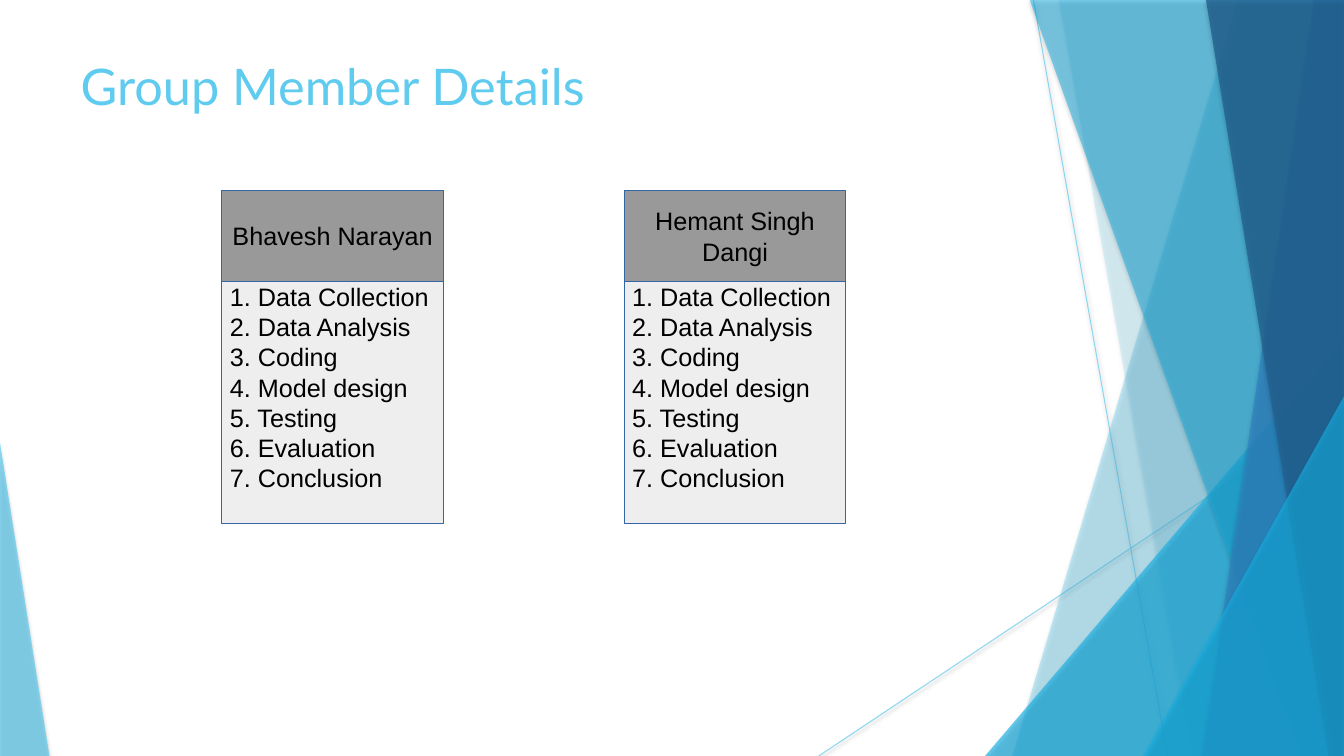
from lxml import etree
from pptx import Presentation
from pptx.dml.color import RGBColor
from pptx.enum import shapes, text
from pptx.oxml import ns
from pptx.util import Inches, Pt

SKY = RGBColor(0x5F, 0xCB, 0xEF)
CYAN = RGBColor(0x17, 0xB0, 0xE4)
BLUE = RGBColor(0x2E, 0x83, 0xC3)
NAVY = RGBColor(0x22, 0x62, 0x92)
EDGE = RGBColor(0x34, 0x65, 0xA4)
HEAD = RGBColor(0x99, 0x99, 0x99)
BODY = RGBColor(0xEE, 0xEE, 0xEE)
BLACK = RGBColor(0, 0, 0)
WIDE, HIGH = 13.33, 7.5

deck = Presentation()
deck.slide_width, deck.slide_height = Inches(WIDE), Inches(HIGH)
slide = deck.slides.add_slide(deck.slide_layouts[5])
items = slide.shapes


def blend(item, alpha, shade, blur, dist):
    """Make the colour translucent and add a soft shadow below."""
    props = item._element.spPr
    color = props.find(".//" + ns.qn("a:srgbClr"))
    etree.SubElement(color, ns.qn("a:alpha"), val=str(alpha * 1000))
    for old in props.findall(ns.qn("a:effectLst")):
        props.remove(old)
    glow = etree.SubElement(props, ns.qn("a:effectLst"))
    drop = etree.SubElement(glow, ns.qn("a:outerShdw"), blurRad=str(Pt(blur)),
                            dist=str(Pt(dist)), dir="5400000", rotWithShape="0")
    tint = etree.SubElement(drop, ns.qn("a:srgbClr"), val="000000")
    etree.SubElement(tint, ns.qn("a:alpha"), val=str(shade * 1000))


def panel(left, top, high, fill, lines, align, anchor, inset):
    """Add a bordered box with one paragraph per line."""
    box = items.add_shape(shapes.MSO_SHAPE.RECTANGLE, Inches(left), Inches(top),
                          Inches(2.2), Inches(high))
    box.shadow.inherit = False
    box.fill.solid()
    box.fill.fore_color.rgb = fill
    box.line.color.rgb = EDGE
    box.line.width = Pt(0.75)
    frame = box.text_frame
    frame.word_wrap = False
    frame.vertical_anchor = anchor
    frame.margin_left = frame.margin_right = Inches(inset)
    frame.margin_top = frame.margin_bottom = 0
    for i, line in enumerate(lines):
        para = frame.add_paragraph() if i else frame.paragraphs[0]
        para.alignment = align
        run = para.add_run()
        run.text = line
        run.font.name, run.font.size = "Arial", Pt(18)
        run.font.color.rgb = BLACK


# Thin crossing lines
for x1, y1, x2, y2 in [(10.25, 0, 11.58, HIGH), (WIDE, 4.03, 8.12, HIGH)]:
    wire = items.add_connector(shapes.MSO_CONNECTOR.STRAIGHT, Inches(x1),
                               Inches(y1), Inches(x2), Inches(y2))
    wire.line.color.rgb = SKY
    wire.line.width = Pt(0.75)
    blend(wire, 70, 38, 3.1, 1.6)

# Translucent facets: bands (top x, foot x) and triangles (left, top, width, apex)
facets = [
    ("band", (12.28, 10.04), SKY, 36),
    ("band", (10.5, 11.82), SKY, 20),
    ("tri", (9.77, 3.33, 3.56, 1), CYAN, 66),
    ("band", (10.21, 12.91), CYAN, 50),
    ("band", (13.03, 11.92), BLUE, 70),
    ("band", (11.96, 13.18), NAVY, 80),
    ("tri", (11.34, 3.93, 1.99, 1), CYAN, 66),
    ("tri", (0, 4.39, 0.49, 0), SKY, 70),
]
for kind, place, color, alpha in facets:
    if kind == "band":
        top, foot = place
        pen = items.build_freeform(Inches(top), Inches(-0.01))
        pen.add_line_segments([(Inches(x), Inches(y)) for x, y in
                               [(WIDE, -0.01), (WIDE, HIGH), (foot, HIGH)]])
        facet = pen.convert_to_shape()
    else:
        left, top, wide, apex = place
        facet = items.add_shape(shapes.MSO_SHAPE.ISOSCELES_TRIANGLE, Inches(left),
                                Inches(top), Inches(wide), Inches(HIGH - top))
        facet.adjustments[0] = apex
    facet.fill.solid()
    facet.fill.fore_color.rgb = color
    facet.line.fill.background()
    blend(facet, alpha, 35, 3, 2)

# Title
title = items.title
title.left, title.top = Inches(0.7), Inches(0.5)
title.width, title.height = Inches(9.4), Inches(0.9)
title.text_frame.vertical_anchor = text.MSO_ANCHOR.TOP
para = title.text_frame.paragraphs[0]
para.alignment = text.PP_ALIGN.LEFT
run = para.add_run()
run.text = "Group Member Details"
run.font.name, run.font.size = "Lato", Pt(36)
run.font.color.rgb = SKY

# Member cards: name above, shared task list below
tasks = ["Data Collection", "Data Analysis", "Coding", "Model design",
         "Testing", "Evaluation", "Conclusion"]
steps = [f"{n}. {task}" for n, task in enumerate(tasks, 1)]
for left, name in [(2.2, ["Bhavesh Narayan"]), (6.19, ["Hemant Singh", "Dangi"])]:
    panel(left, 2.79, 2.4, BODY, steps, text.PP_ALIGN.LEFT,
          text.MSO_ANCHOR.TOP, 0.08)
    panel(left, 1.89, 0.9, HEAD, name, text.PP_ALIGN.CENTER,
          text.MSO_ANCHOR.MIDDLE, 0.1)

deck.save("out.pptx")
